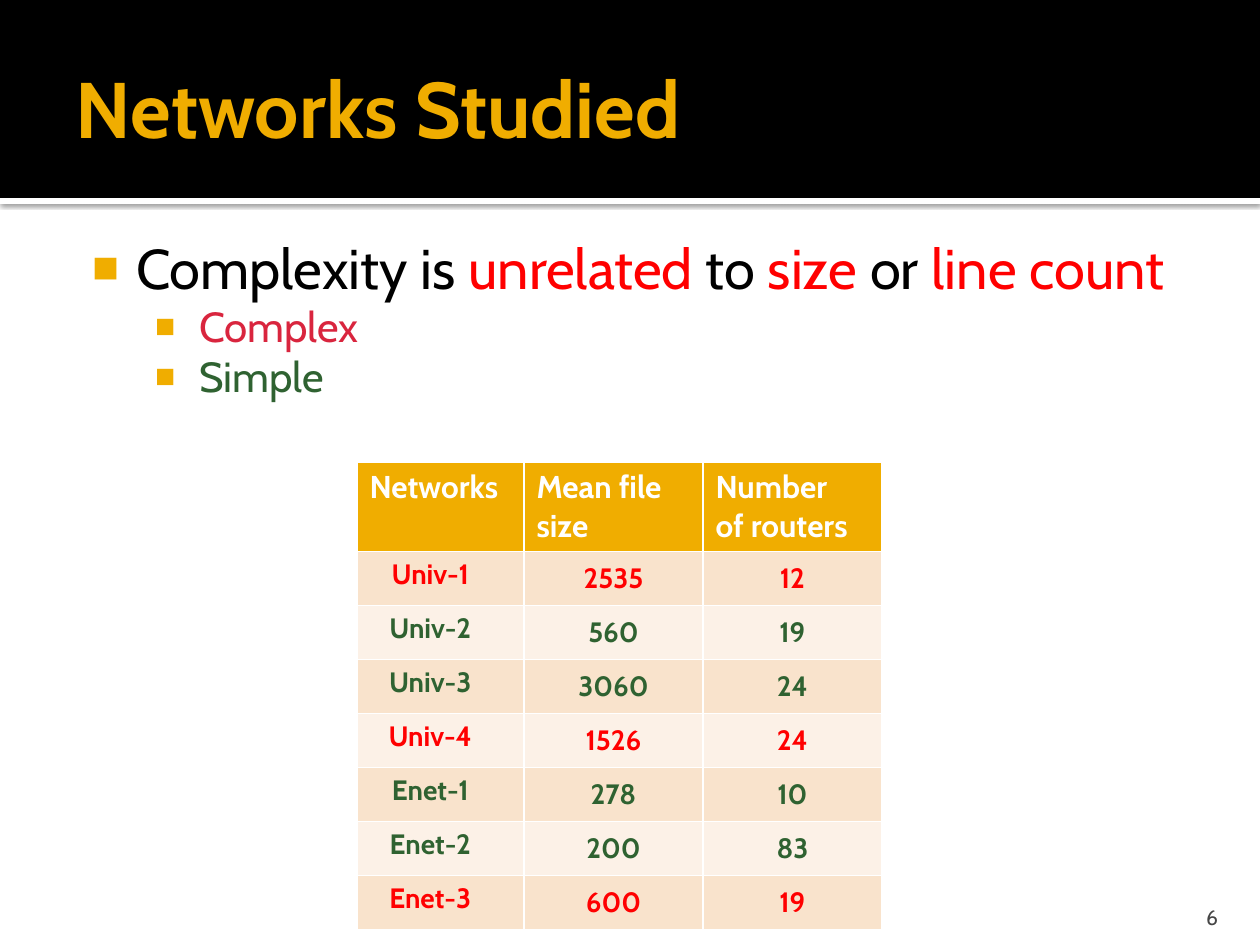
import pptx
import pptx.util
import pptx.dml.color
import pptx.enum.shapes
import pptx.enum.text
import pptx.oxml
import pptx.oxml.ns
import lxml.etree

RGBColor = pptx.dml.color.RGBColor
GOLD = RGBColor(0xF0, 0xAD, 0x00)
BLACK = RGBColor(0, 0, 0)
WHITE = RGBColor(0xFF, 0xFF, 0xFF)
RED = RGBColor(0xFF, 0, 0)
CRIMSON = RGBColor(0xD9, 0x25, 0x3E)
GREEN = RGBColor(0x2F, 0x62, 0x31)
GREY = RGBColor(0x45, 0x45, 0x45)
BANDS = (RGBColor(0xF9, 0xE3, 0xCC), RGBColor(0xFC, 0xF1, 0xE7))
FONT = "Cabin"
ALIGN = pptx.enum.text.PP_ALIGN
ANCHOR = pptx.enum.text.MSO_ANCHOR

HEADINGS = ("Networks", "Mean file size", "Number\vof routers")
NETWORKS = (
    ("Univ-1", 2535, 12, RED),
    ("Univ-2", 560, 19, GREEN),
    ("Univ-3", 3060, 24, GREEN),
    ("Univ-4", 1526, 24, RED),
    ("Enet-1", 278, 10, GREEN),
    ("Enet-2", 200, 83, GREEN),
    ("Enet-3", 600, 19, RED),
)
POINTS = (
    (0, 32, (("Complexity is ", BLACK), ("unrelated ", RED), ("to", BLACK),
             (" size ", RED), ("or ", BLACK), ("line count", RED))),
    (1, 24, (("Complex", CRIMSON),)),
    (1, 24, (("Simple", GREEN),)),
)


def px(length):
    return pptx.util.Emu(round(length * 914400 / 126))


def place(shape, box):
    shape.left, shape.top, shape.width, shape.height = map(px, box)


def set_frame(frame, margins, anchor):
    frame.word_wrap = True
    frame.auto_size = pptx.enum.text.MSO_AUTO_SIZE.NONE
    frame.vertical_anchor = anchor
    (frame.margin_left, frame.margin_top,
     frame.margin_right, frame.margin_bottom) = map(px, margins)


def style(paragraph, size, color=None, bold=False, align=ALIGN.LEFT):
    paragraph.alignment = align
    font = paragraph.font
    font.name, font.size, font.bold = FONT, pptx.util.Pt(size), bold
    if color is not None:
        font.color.rgb = color


def add_bar(slide, box, color):
    bar = slide.shapes.add_shape(pptx.enum.shapes.MSO_SHAPE.RECTANGLE, *map(px, box))
    bar.shadow.inherit = False
    bar.fill.solid()
    bar.fill.fore_color.rgb = color
    bar.line.fill.background()
    slide.shapes._spTree.insert(2, bar._element)
    return bar


def add_header(slide, box):
    left, top, width, height = box
    add_bar(slide, box, BLACK)
    edge = add_bar(slide, (left, top + height, width, 6), WHITE)
    effects = edge._element.spPr.find(pptx.oxml.ns.qn("a:effectLst"))
    effects.append(pptx.oxml.parse_xml(
        f'<a:outerShdw {pptx.oxml.ns.nsdecls("a")} blurRad="31750" dist="10160" dir="5400000" '
        'algn="tl" rotWithShape="0"><a:srgbClr val="000000"><a:alpha val="60000"/>'
        '</a:srgbClr></a:outerShdw>'))
    title = slide.shapes.title
    place(title, (left + 63, top + 21, width - 126, height - 25))
    title.text_frame.text = "Networks Studied"
    set_frame(title.text_frame, (13, 6, 6, 6), ANCHOR.MIDDLE)
    style(title.text_frame.paragraphs[0], 45, GOLD, True)


def add_bullet(paragraph, indent):
    properties = paragraph._p.get_or_add_pPr()
    properties.set("marL", str(px(indent)))
    properties.set("indent", str(px(-44)))

    def add(parent, tag, **attributes):
        return lxml.etree.SubElement(parent, pptx.oxml.ns.qn(tag), attributes)

    add(add(properties, "a:buClr"), "a:srgbClr", val=str(GOLD))
    add(properties, "a:buSzPct", val="80000")
    add(properties, "a:buFont", typeface="Arial")
    add(properties, "a:buChar", char="■")


def add_points(slide, box):
    body = slide.placeholders[1]
    place(body, box)
    frame = body.text_frame
    set_frame(frame, (13, 13, 13, 6), ANCHOR.TOP)
    for number, (level, size, pieces) in enumerate(POINTS):
        point = frame.add_paragraph() if number else frame.paragraphs[0]
        point.level = level
        add_bullet(point, 60 + 63 * level)
        point.space_before = pptx.util.Pt(0)
        style(point, size)
        for words, color in pieces:
            run = point.add_run()
            run.text = words
            run.font.color.rgb = color


def fill_cell(cell, text, fill, size, color, align):
    cell.text = str(text)
    cell.fill.solid()
    cell.fill.fore_color.rgb = fill
    style(cell.text_frame.paragraphs[0], size, color, True, align)


def add_networks(slide, box):
    frame = slide.shapes.add_table(len(NETWORKS) + 1, len(HEADINGS), *map(px, box))
    table = frame.table
    for column, width in zip(table.columns, (167, 179, 179)):
        column.width = px(width)
    for number, row in enumerate(table.rows):
        row.height = px(54 if number else 65)
    frame.height = px(box[3])
    for column, heading in enumerate(HEADINGS):
        fill_cell(table.cell(0, column), heading, GOLD, 18, WHITE, ALIGN.LEFT)
    for number, (*values, color) in enumerate(NETWORKS):
        for column, value in enumerate(values):
            cell = table.cell(number + 1, column)
            fill_cell(cell, value, BANDS[number % 2], 16, color, ALIGN.CENTER)
            if column:
                cell.vertical_anchor = ANCHOR.MIDDLE
            else:
                cell.margin_right = px(33)


def add_page_number(slide, box):
    frame = slide.shapes.add_textbox(*map(px, box)).text_frame
    set_frame(frame, (13, 6, 13, 0), ANCHOR.BOTTOM)
    frame.text = "6"
    style(frame.paragraphs[0], 12, GREY, align=ALIGN.RIGHT)


presentation = pptx.Presentation()
presentation.slide_width, presentation.slide_height = px(1260), px(945)
slide = presentation.slides.add_slide(presentation.slide_layouts[1])
add_header(slide, (0, 0, 1260, 198))
add_networks(slide, (357, 462, 525, 464))
add_page_number(slide, (1130, 892, 101, 38))
add_points(slide, (63, 220, 1134, 284))
presentation.save("out.pptx")
